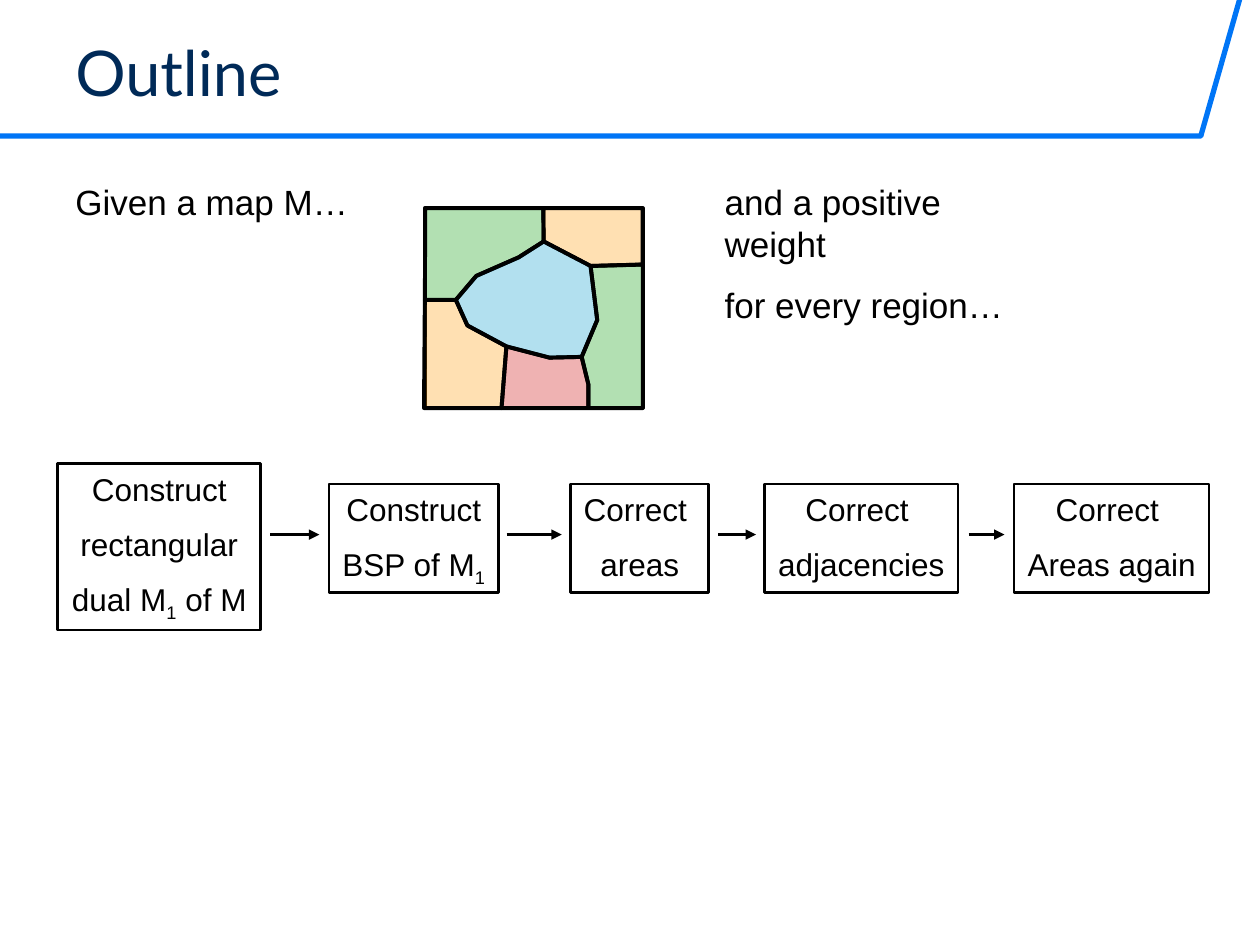
"""Build the outline slide: a map with regions above a five-step pipeline."""
from pptx import Presentation
from pptx import util as u
from pptx.dml.color import RGBColor
from pptx.enum import shapes, text
from pptx.oxml.ns import qn
from lxml import etree

BLACK = RGBColor(0, 0, 0)
WHITE = RGBColor(0xFF, 0xFF, 0xFF)
HEADER_BLUE = RGBColor(0x00, 0x75, 0xF6)
TITLE_NAVY = RGBColor(0x00, 0x2A, 0x58)
GREEN = RGBColor(0x00, 0x99, 0x00)
ORANGE = RGBColor(0xFF, 0x99, 0x00)
RED = RGBColor(0xCC, 0x00, 0x00)
BLUE = RGBColor(0x00, 0x99, 0xCC)

CORNERS = {
    "top_left": (243, 119), "top_mid": (310.5, 119), "top_right": (367.3, 119),
    "left_mid": (242.8, 171.4), "right_mid": (367.3, 151.2),
    "bottom_left": (242.3, 233.2), "bottom_a": (286.6, 233.2),
    "bottom_b": (336.2, 233.2), "bottom_right": (367.3, 233.2),
    "bend": (336.2, 219.6),
    "lake_north": (310.7, 138), "lake_nne": (337.5, 152), "lake_east": (341.3, 182.9),
    "lake_se": (332.4, 204), "lake_south": (314, 204.4), "lake_ssw": (289.4, 198),
    "lake_sw": (267.1, 186), "lake_west": (260.5, 171.4),
    "lake_nw": (272.2, 157.7), "lake_nnw": (296.4, 147.1),
}
REGIONS = [
    (GREEN, "top_left top_mid lake_north lake_nnw lake_nw lake_west left_mid"),
    (ORANGE, "top_mid top_right right_mid lake_nne lake_north"),
    (GREEN, "right_mid bottom_right bottom_b bend lake_se lake_east lake_nne"),
    (ORANGE, "left_mid lake_west lake_sw lake_ssw bottom_a bottom_left"),
    (RED, "lake_ssw lake_south lake_se bend bottom_b bottom_a"),
    (BLUE, "lake_west lake_nw lake_nnw lake_north lake_nne lake_east "
           "lake_se lake_south lake_ssw lake_sw"),
]
STEPS = [
    (33, 265, 116, 95, [["Construct"], ["rectangular"], ["dual M", "1", " of M"]]),
    (188, 276.5, 97, 62, [["Construct"], ["BSP of M", "1"]]),
    (326, 276.5, 79, 62, [["Correct "], ["areas"]]),
    (437, 276.5, 110.5, 62, [["Correct "], ["adjacencies"]]),
    (579.5, 276.5, 111.5, 62, [["Correct "], ["Areas again"]]),
]
ARROWS = [(154.5, 182.5), (289.5, 321), (410.5, 432), (553.5, 574)]
ARROW_Y = 305.5


def set_alpha(shape, percent):
    """Make the solid fill of a shape partly transparent."""
    color = shape.fill._xPr.find(qn("a:solidFill"))[0]
    etree.SubElement(color, qn("a:alpha")).set("val", str(percent * 1000))


def style_shape(shape, fill, alpha, line, width):
    """Set fill, outline and shadow; a fill of None leaves the shape hollow."""
    shape.shadow.inherit = False
    if fill is None:
        shape.fill.background()
    else:
        shape.fill.solid()
        shape.fill.fore_color.rgb = fill
        set_alpha(shape, alpha)
    shape.line.color.rgb = line
    shape.line.width = u.Pt(width)


def write_text(frame, lines, size, font="Arial", color=BLACK, align=text.PP_ALIGN.LEFT):
    """Fill a frame with paragraphs of runs; a run of "1" is a subscript."""
    for index, runs in enumerate(lines):
        para = frame.add_paragraph() if index else frame.paragraphs[0]
        para.alignment = align
        para.space_before = u.Pt(0.55 * size if index else 0)
        for content in runs:
            span = para.add_run()
            span.text = content
            span.font.size = u.Pt(size)
            span.font.name = font
            span.font.color.rgb = color
            if content == "1":
                span._r.get_or_add_rPr().set("baseline", "-25000")


def add_label(page, left, top, width, height, lines, size, anchor=text.MSO_ANCHOR.TOP, **style):
    """Add a wrapping text box."""
    box = page.shapes.add_textbox(u.Pt(left), u.Pt(top), u.Pt(width), u.Pt(height))
    box.text_frame.word_wrap = True
    box.text_frame.vertical_anchor = anchor
    write_text(box.text_frame, lines, size, **style)


def add_step(page, left, top, width, height, lines):
    """Add one outlined step of the pipeline."""
    box = page.shapes.add_shape(shapes.MSO_SHAPE.RECTANGLE,
                                u.Pt(left), u.Pt(top), u.Pt(width), u.Pt(height))
    style_shape(box, WHITE, 50, BLACK, 1.5)
    box.text_frame.word_wrap = False
    box.text_frame.vertical_anchor = text.MSO_ANCHOR.TOP
    write_text(box.text_frame, lines, 18, align=text.PP_ALIGN.CENTER)


def add_arrow(page, start, end):
    """Add a horizontal arrow between two steps."""
    arrow = page.shapes.add_connector(shapes.MSO_CONNECTOR.STRAIGHT,
                                      u.Pt(start), u.Pt(ARROW_Y), u.Pt(end), u.Pt(ARROW_Y))
    arrow.line.color.rgb = BLACK
    arrow.line.width = u.Pt(1.5)
    etree.SubElement(arrow.line._get_or_add_ln(), qn("a:tailEnd")).set("type", "triangle")
    etree.SubElement(arrow._element.spPr, qn("a:effectLst"))


def add_outline(container, points, close):
    """Add a freeform through points given in pt."""
    start, *rest = [(u.Pt(x), u.Pt(y)) for x, y in points]
    builder = container.shapes.build_freeform(*start)
    builder.add_line_segments(rest, close=close)
    return builder.convert_to_shape()


def add_header(page):
    """Add the slanted header rule and the title."""
    rule = add_outline(page, [(0, 77.8), (686.2, 77.8), (708.5, -0.7)], close=False)
    style_shape(rule, None, None, HEADER_BLUE, 3)
    etree.SubElement(rule.line._get_or_add_ln(), qn("a:round"))
    add_label(page, 36, 15, 668, 51, [["Outline"]], 36,
              anchor=text.MSO_ANCHOR.BOTTOM, font="Lato", color=TITLE_NAVY)


def add_map(page):
    """Add the framed map with its coloured regions as one group."""
    group = page.shapes.add_group_shape()
    frame = group.shapes.add_shape(shapes.MSO_SHAPE.RECTANGLE,
                                   u.Pt(242.8), u.Pt(119), u.Pt(124.5), u.Pt(114))
    style_shape(frame, None, None, BLACK, 2.25)
    for color, names in REGIONS:
        region = add_outline(group, [CORNERS[name] for name in names.split()], close=True)
        style_shape(region, color, 30, BLACK, 2.25)


def main():
    """Build and save the slide."""
    deck = Presentation()
    deck.slide_width, deck.slide_height = u.Pt(720), u.Pt(540)
    page = deck.slides.add_slide(deck.slide_layouts[6])
    add_header(page)
    add_label(page, 36, 99.5, 185, 35, [["Given a map M…"]], 20)
    for step in STEPS:
        add_step(page, *step)
    for start, end in ARROWS:
        add_arrow(page, start, end)
    add_map(page)
    add_label(page, 407, 99.5, 201, 55,
              [["and a positive weight"], ["for every region…"]], 20)
    deck.save("out.pptx")


if __name__ == "__main__":
    main()
